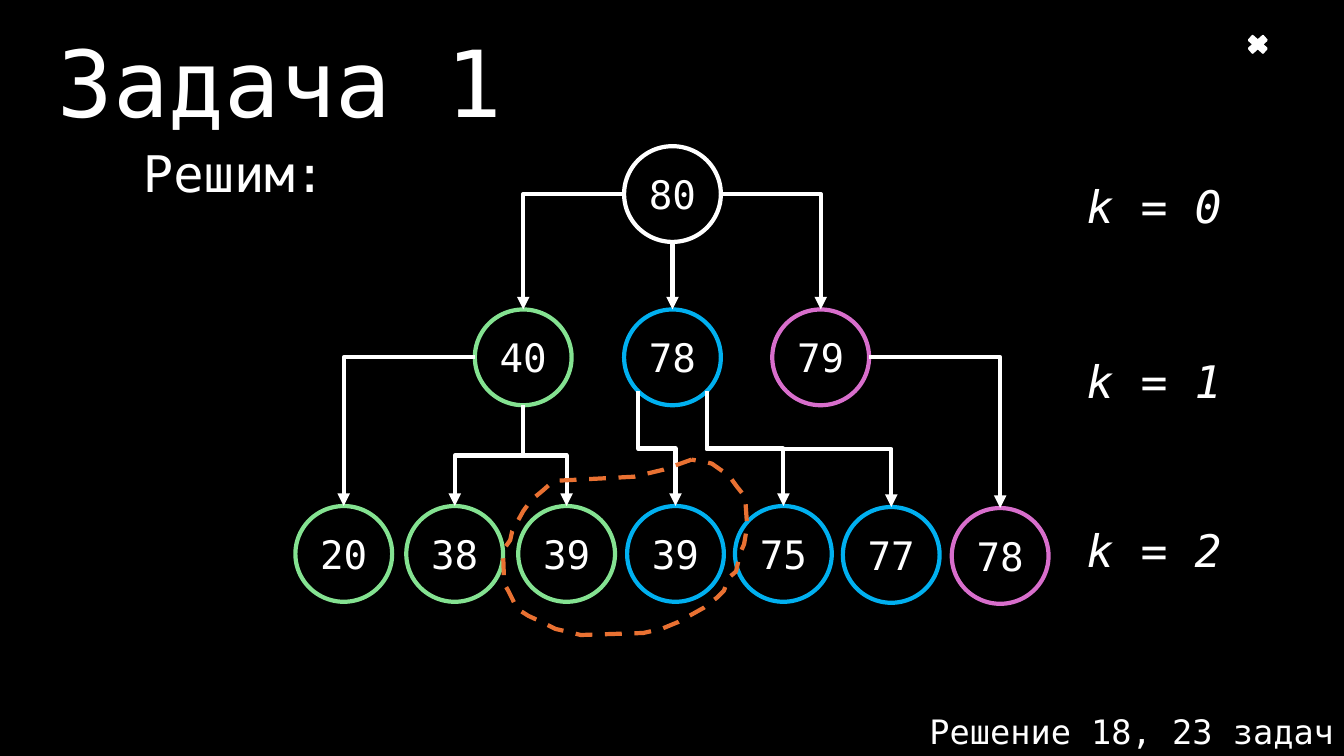
from lxml import etree
from pptx import Presentation
from pptx.dml.color import RGBColor
from pptx.enum.dml import MSO_LINE
from pptx.enum.shapes import MSO_CONNECTOR, MSO_SHAPE
from pptx.enum.text import MSO_ANCHOR, PP_ALIGN
from pptx.oxml.ns import qn
from pptx.util import Inches, Pt

LEFT, MID, RIGHT = PP_ALIGN.LEFT, PP_ALIGN.CENTER, PP_ALIGN.RIGHT
TOP, CENTER = MSO_ANCHOR.TOP, MSO_ANCHOR.MIDDLE
OVAL, CROSS = MSO_SHAPE.OVAL, MSO_SHAPE.MATH_MULTIPLY
STRAIGHT, ELBOW = MSO_CONNECTOR.STRAIGHT, MSO_CONNECTOR.ELBOW
DASH = MSO_LINE.DASH

FONT = "DejaVu Sans Mono"
WHITE, BLACK, ORANGE = "FFFFFF", "000000", "E97132"
GREEN, BLUE, PINK = "84E291", "00B0F0", "D86ECC"
WIDE, HIGH = 0.96, 0.95

TITLE = ("Задача 1", 0.47, 0.2, 7.04, 1.21, 66)
LABELS = [
    ("Решение 18, 23 задач", 8.33, 7, 5, 0.5, 24, RIGHT, False),
    ("Решим:", 1.32, 1.36, 2.13, 1.72, 36, LEFT, False),
    ("k = 0", 10.68, 1.72, 2.13, 0.64, 32, LEFT, True),
    ("k = 1", 10.68, 3.46, 2.13, 0.64, 32, LEFT, True),
    ("k = 2", 10.68, 5.14, 2.13, 0.64, 32, LEFT, True),
]
NODES = {
    "root": ("80", 6.67, 1.45, WHITE),
    "a": ("40", 5.19, 3.07, GREEN),
    "b": ("78", 6.67, 3.07, BLUE),
    "c": ("79", 8.14, 3.07, PINK),
    "a1": ("20", 3.41, 5.02, GREEN),
    "a2": ("38", 4.51, 5.02, GREEN),
    "a3": ("39", 5.62, 5.02, GREEN),
    "b1": ("39", 6.7, 5.02, BLUE),
    "b2": ("75", 7.77, 5.02, BLUE),
    "b3": ("77", 8.84, 5.03, BLUE),
    "c1": ("78", 9.92, 5.04, PINK),
}
SIDE = [("root", "a"), ("root", "c"), ("a", "a1"), ("c", "c1")]
DOWN = [("a", "a2", 0), ("a", "a3", 0),
        ("b", "b1", -0.34), ("b", "b2", 0.34), ("b", "b3", 0.34)]
LOOP = [
    (6.86, 4.56), (6.58, 4.66), (6.29, 4.73), (5.91, 4.75), (5.52, 4.77),
    (5.47, 4.79), (5.38, 4.87), (5.27, 4.96), (5.19, 5.07), (5.08, 5.27),
    (5.06, 5.36), (5.01, 5.43), (4.99, 5.5), (5, 5.79), (5.04, 5.86),
    (5.13, 6.04), (5.24, 6.11), (5.37, 6.17), (5.51, 6.24), (5.64, 6.27),
    (5.76, 6.3), (6.38, 6.28), (6.56, 6.24), (6.73, 6.17), (6.89, 6.08),
    (6.98, 6.03), (7.07, 5.96), (7.11, 5.93), (7.18, 5.86), (7.23, 5.73),
    (7.3, 5.67), (7.34, 5.49), (7.38, 5.4), (7.41, 5.22), (7.39, 4.93),
    (7.31, 4.83), (7.23, 4.72), (7.06, 4.6), (7.02, 4.59),
]


def color(code):
    return RGBColor.from_string(code)


def write(shape, text, size, align, anchor, wrap=True, slant=False):
    frame = shape.text_frame
    frame.text = text
    frame.word_wrap = wrap
    frame.vertical_anchor = anchor
    par = frame.paragraphs[0]
    par.alignment = align
    par.font.name = FONT
    par.font.size = Pt(size)
    par.font.italic = slant
    par.font.color.rgb = color(WHITE)


def outline(shape, code, width):
    shape.line.color.rgb = color(code)
    shape.line.width = Pt(width)


def arrow(kind, x1, y1, x2, y2):
    link = slide.shapes.add_connector(
        kind, Inches(x1), Inches(y1), Inches(x2), Inches(y2))
    outline(link, WHITE, 3)
    etree.SubElement(link.line._get_or_add_ln(), qn("a:tailEnd"), type="triangle")
    etree.SubElement(link._element.spPr, qn("a:effectLst"))
    return link._element.spPr


def across(start, end):
    _, x1, y1, _ = NODES[start]
    _, x2, y2, _ = NODES[end]
    edge = x1 + WIDE / 2 * (1 if x2 > x1 else -1)
    props = arrow(ELBOW, edge, y1 + HIGH / 2, x2, y2)
    props.find(qn("a:prstGeom")).set("prst", "bentConnector2")


def below(start, end, shift):
    _, x1, y1, _ = NODES[start]
    _, x2, y2, _ = NODES[end]
    x1 += shift
    y1 += HIGH - (0.14 if shift else 0)
    sign = 1 if x2 > x1 else -1
    mx, my = (x1 + x2) / 2, (y1 + y2) / 2
    dx, dy = sign * (y2 - y1) / 2, abs(x2 - x1) / 2
    props = arrow(ELBOW, mx + dx, my - dy, mx - dx, my + dy)
    turn = 270 if sign > 0 else 90
    props.find(qn("a:xfrm")).set("rot", str(turn * 60000))


deck = Presentation()
deck.slide_width, deck.slide_height = Inches(13.33), Inches(7.5)
slide = deck.slides.add_slide(deck.slide_layouts[5])
slide.background.fill.solid()
slide.background.fill.fore_color.rgb = color(BLACK)

text, x, y, w, h, size = TITLE
head = slide.shapes.title
head.left, head.top, head.width, head.height = map(Inches, (x, y, w, h))
write(head, text, size, LEFT, TOP)

for text, x, y, w, h, size, align, slant in LABELS:
    box = slide.shapes.add_textbox(*map(Inches, (x, y, w, h)))
    write(box, text, size, align, TOP, slant=slant)

cross = slide.shapes.add_shape(CROSS, *map(Inches, (12.34, 0.32, 0.27, 0.24)))
cross.shadow.inherit = False
cross.fill.solid()
cross.fill.fore_color.rgb = color(WHITE)
outline(cross, WHITE, 1.5)

for text, x, y, code in NODES.values():
    node = slide.shapes.add_shape(
        OVAL, *map(Inches, (x - WIDE / 2, y, WIDE, HIGH)))
    node.shadow.inherit = False
    node.fill.background()
    outline(node, code, 3)
    write(node, text, 28, MID, CENTER, wrap=False)

for start, end in SIDE:
    across(start, end)
for start, end, shift in DOWN:
    below(start, end, shift)
_, x, y, _ = NODES["root"]
arrow(STRAIGHT, x, y + HIGH, x, NODES["b"][2])

spots = [(Inches(x), Inches(y)) for x, y in LOOP]
path = slide.shapes.build_freeform(*spots[0])
path.add_line_segments(spots[1:], close=True)
loop = path.convert_to_shape()
loop.shadow.inherit = False
loop.fill.background()
outline(loop, ORANGE, 3)
loop.line.dash_style = DASH

deck.save("out.pptx")
